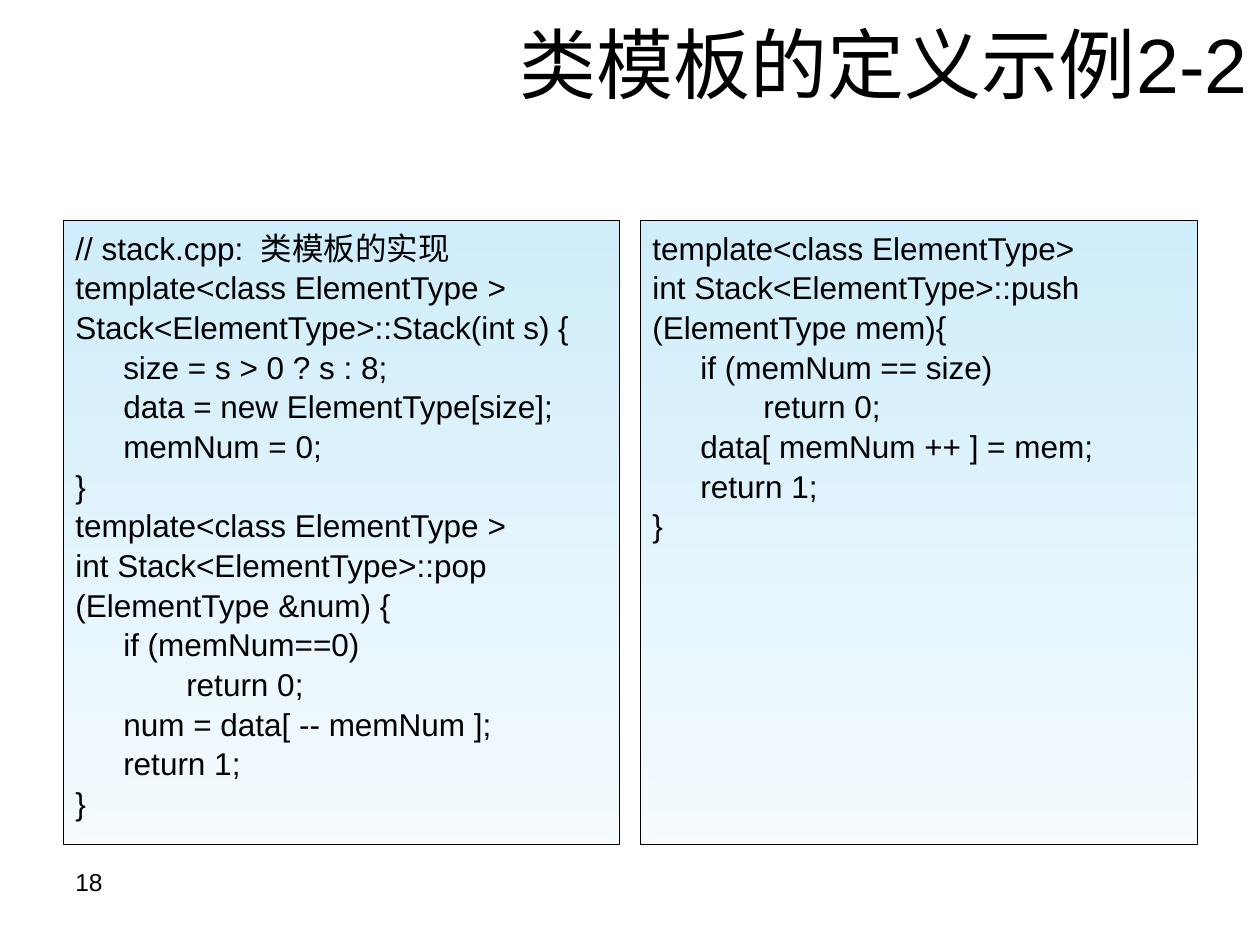
from lxml import etree
from pptx import Presentation
from pptx import util as u
from pptx.dml.color import RGBColor
from pptx.enum import shapes, text
from pptx.oxml.ns import qn

BLACK = RGBColor(0x00, 0x00, 0x00)
SKY = RGBColor(0xCF, 0xED, 0xFA)
PALE = RGBColor(0xF5, 0xFB, 0xFE)

TITLE = "类模板的定义示例2-2"
PAGE_NUMBER = "18"
LISTINGS = [
    [
        "// stack.cpp:  类模板的实现",
        "template<class ElementType >",
        "Stack<ElementType>::Stack(int s) {",
        "\tsize = s > 0 ? s : 8;",
        "\tdata = new ElementType[size];",
        "\tmemNum = 0;",
        "}",
        "template<class ElementType >",
        "int Stack<ElementType>::pop",
        "(ElementType &num) {",
        "\tif (memNum==0)",
        "\t\treturn 0;",
        "\tnum = data[ -- memNum ];",
        "\treturn 1;",
        "}",
    ],
    [
        "template<class ElementType>",
        "int Stack<ElementType>::push",
        "(ElementType mem){",
        "\tif (memNum == size)",
        "\t\treturn 0;",
        "\tdata[ memNum ++ ] = mem;",
        "\treturn 1;",
        "}",
    ],
]

WIDTH, HEIGHT = 10, 7.5
MARGIN, GAP = 0.5, 0.16
PANEL_TOP, PANEL_HEIGHT = 1.75, 4.95
PANEL_WIDTH = (WIDTH - 2 * MARGIN - GAP) / len(LISTINGS)
HANGING = 0.38


def write(box, lines, size, align, anchor=text.MSO_ANCHOR.TOP):
    frame = box.text_frame
    frame.word_wrap = True
    frame.vertical_anchor = anchor
    for index, line in enumerate(lines):
        para = frame.add_paragraph() if index else frame.paragraphs[0]
        para.alignment = align
        span = para.add_run()
        span.text = line
        span.font.size = u.Pt(size)
        span.font.name = "Arial"
        span.font.color.rgb = BLACK
    return frame.paragraphs


def format_code(para):
    para.line_spacing = 1.05
    properties = para._p.get_or_add_pPr()
    properties.set("marL", str(u.Inches(HANGING)))
    properties.set("indent", str(-u.Inches(HANGING)))
    tabs = etree.SubElement(properties, qn("a:tabLst"))
    for inch in range(8):
        etree.SubElement(tabs, qn("a:tab"), pos=str(u.Inches(inch)), algn="l")


def add_panel(page, column, lines):
    left = MARGIN + column * (PANEL_WIDTH + GAP)
    panel = page.shapes.add_shape(
        shapes.MSO_SHAPE.RECTANGLE, u.Inches(left), u.Inches(PANEL_TOP),
        u.Inches(PANEL_WIDTH), u.Inches(PANEL_HEIGHT))
    panel.shadow.inherit = False
    panel.fill.gradient()
    panel.fill.gradient_angle = 270
    for stop, position, color in zip(panel.fill.gradient_stops, (0, 1), (SKY, PALE)):
        stop.position = position
        stop.color.rgb = color
    panel.line.color.rgb = BLACK
    panel.line.width = u.Pt(0.5)
    for para in write(panel, lines, 18, text.PP_ALIGN.JUSTIFY):
        format_code(para)


def main():
    deck = Presentation()
    deck.slide_width, deck.slide_height = u.Inches(WIDTH), u.Inches(HEIGHT)
    page = deck.slides.add_slide(deck.slide_layouts[6])

    number = page.shapes.add_textbox(
        u.Inches(MARGIN), u.Inches(6.83), u.Inches(2.33), u.Inches(0.52))
    write(number, [PAGE_NUMBER], 14, text.PP_ALIGN.LEFT)

    title = page.shapes.add_textbox(
        u.Inches(1), 0, u.Inches(WIDTH - 1), u.Inches(0.99))
    write(title, [TITLE], 44, text.PP_ALIGN.RIGHT, text.MSO_ANCHOR.MIDDLE)

    for column, lines in enumerate(LISTINGS):
        add_panel(page, column, lines)
    deck.save("out.pptx")


if __name__ == "__main__":
    main()
